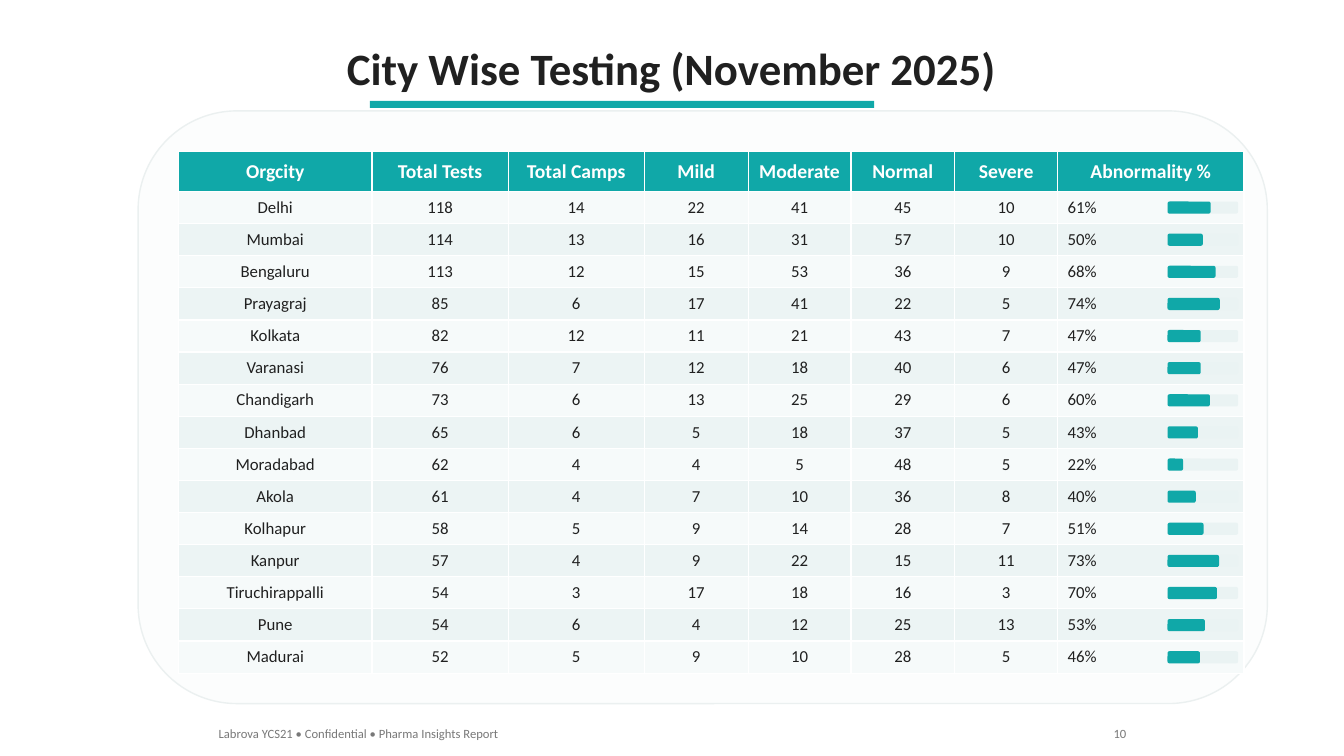
from pptx import Presentation
from pptx.dml.color import RGBColor
from pptx.enum.shapes import MSO_SHAPE
from pptx.enum.text import MSO_ANCHOR, MSO_AUTO_SIZE, PP_ALIGN
from pptx.util import Emu, Pt

RECTANGLE = MSO_SHAPE.RECTANGLE
ROUNDED = MSO_SHAPE.ROUNDED_RECTANGLE
MIDDLE = MSO_ANCHOR.MIDDLE
GROW = MSO_AUTO_SIZE.SHAPE_TO_FIT_TEXT
LEFT, CENTER, RIGHT = PP_ALIGN.LEFT, PP_ALIGN.CENTER, PP_ALIGN.RIGHT

EMU_PER_PX = 9144
FONT = "Calibri"
COLORS = {
    "teal": "10A8A8",
    "ink": "202020",
    "white": "FFFFFF",
    "muted": "787878",
    "panel": "FCFDFD",
    "panel_line": "EBF0F0",
    "row_light": "F6FAFA",
    "row_tinted": "ECF4F4",
    "track": "EAF3F3",
}

TABLE_LEFT, TABLE_TOP, TABLE_HEIGHT, HEADER_HEIGHT = 177, 150, 518, 40
COLUMN_WIDTHS = [192, 135, 135, 103, 102, 103, 102, 185]
BAR_LEFT, BAR_WIDTH, BAR_HEIGHT = 1158, 70, 12
HEADERS = ["Orgcity", "Total Tests", "Total Camps", "Mild", "Moderate",
           "Normal", "Severe", "Abnormality %"]
CITIES = [
    ("Delhi", 118, 14, 22, 41, 45, 10),
    ("Mumbai", 114, 13, 16, 31, 57, 10),
    ("Bengaluru", 113, 12, 15, 53, 36, 9),
    ("Prayagraj", 85, 6, 17, 41, 22, 5),
    ("Kolkata", 82, 12, 11, 21, 43, 7),
    ("Varanasi", 76, 7, 12, 18, 40, 6),
    ("Chandigarh", 73, 6, 13, 25, 29, 6),
    ("Dhanbad", 65, 6, 5, 18, 37, 5),
    ("Moradabad", 62, 4, 4, 5, 48, 5),
    ("Akola", 61, 4, 7, 10, 36, 8),
    ("Kolhapur", 58, 5, 9, 14, 28, 7),
    ("Kanpur", 57, 4, 9, 22, 15, 11),
    ("Tiruchirappalli", 54, 3, 17, 18, 16, 3),
    ("Pune", 54, 6, 4, 12, 25, 13),
    ("Madurai", 52, 5, 9, 10, 28, 5),
]
ROW_HEIGHT = (TABLE_HEIGHT - HEADER_HEIGHT) / len(CITIES)


def px(length):
    """Turn a length in px into EMU."""
    return Emu(round(length * EMU_PER_PX))


def rgb(name):
    """Look up a named colour."""
    return RGBColor.from_string(COLORS[name])


def abnormality(city):
    """Return the whole percentage of tests that were not normal."""
    total, normal = city[1], city[5]
    return 100 * (total - normal) // total


def write(frame, text, size, color, bold=False, align=LEFT):
    """Put one styled paragraph into a text frame."""
    para = frame.paragraphs[0]
    para.text = text
    para.alignment = align
    para.font.name = FONT
    para.font.size = Pt(size)
    para.font.bold = bold
    para.font.color.rgb = rgb(color)


def add_label(page, bounds, text, size, color, bold=False, align=LEFT):
    """Add a single-line text box."""
    box = page.shapes.add_textbox(*map(px, bounds))
    box.text_frame.word_wrap = False
    box.text_frame.auto_size = GROW
    write(box.text_frame, text, size, color, bold, align)


def add_block(page, kind, bounds, fill, line=None):
    """Add a filled shape, outlined only when a line colour is given."""
    block = page.shapes.add_shape(kind, *map(px, bounds))
    block.shadow.inherit = False
    block.fill.solid()
    block.fill.fore_color.rgb = rgb(fill)
    if line:
        block.line.color.rgb = rgb(line)
        block.line.width = Pt(1)
    else:
        block.line.fill.background()


def fill_row(row, texts, fill, size, color, bold, last_align):
    """Write and colour the cells of one table row."""
    aligns = [CENTER] * (len(texts) - 1) + [last_align]
    for cell, text, align in zip(row.cells, texts, aligns):
        cell.fill.solid()
        cell.fill.fore_color.rgb = rgb(fill)
        cell.vertical_anchor = MIDDLE
        write(cell.text_frame, text, size, color, bold, align)


def add_city_table(page):
    """Add the table of test results by city."""
    bounds = (TABLE_LEFT, TABLE_TOP, sum(COLUMN_WIDTHS), TABLE_HEIGHT)
    table = page.shapes.add_table(
        len(CITIES) + 1, len(HEADERS), *map(px, bounds)).table
    for column, width in zip(table.columns, COLUMN_WIDTHS):
        column.width = px(width)
    header, *rows = table.rows
    header.height = px(HEADER_HEIGHT)
    fill_row(header, HEADERS, "teal", 14, "white", True, CENTER)
    for index, (row, city) in enumerate(zip(rows, CITIES)):
        row.height = px(ROW_HEIGHT)
        texts = [str(value) for value in city] + [f"{abnormality(city)}%"]
        fill = "row_tinted" if index % 2 else "row_light"
        fill_row(row, texts, fill, 12, "ink", False, LEFT)


def add_abnormality_bars(page):
    """Add a track and a proportional bar beside each percentage."""
    first_top = TABLE_TOP + HEADER_HEIGHT + (ROW_HEIGHT - BAR_HEIGHT) / 2
    for index, city in enumerate(CITIES):
        top = first_top + index * ROW_HEIGHT
        share = BAR_WIDTH * abnormality(city) / 100
        for width, fill in ((BAR_WIDTH, "track"), (share, "teal")):
            add_block(page, ROUNDED, (BAR_LEFT, top, width, BAR_HEIGHT), fill)


def main():
    """Build the city testing slide and save it."""
    deck = Presentation()
    deck.slide_width, deck.slide_height = px(1333), px(750)
    page = deck.slides.add_slide(deck.slide_layouts[6])
    add_label(page, (331, 35, 670, 64), "City Wise Testing (November 2025)",
              32, "ink", True, CENTER)
    add_block(page, RECTANGLE, (367, 100, 500, 7), "teal")
    add_block(page, ROUNDED, (137, 110, 1120, 588), "panel", "panel_line")
    add_city_table(page)
    add_abnormality_bars(page)
    add_label(page, (207, 715, 305, 25),
              "Labrova YCS21 • Confidential • Pharma Insights Report", 9, "muted")
    add_label(page, (1094, 715, 33, 25), "10", 9, "muted", align=RIGHT)
    deck.save("out.pptx")


if __name__ == "__main__":
    main()
